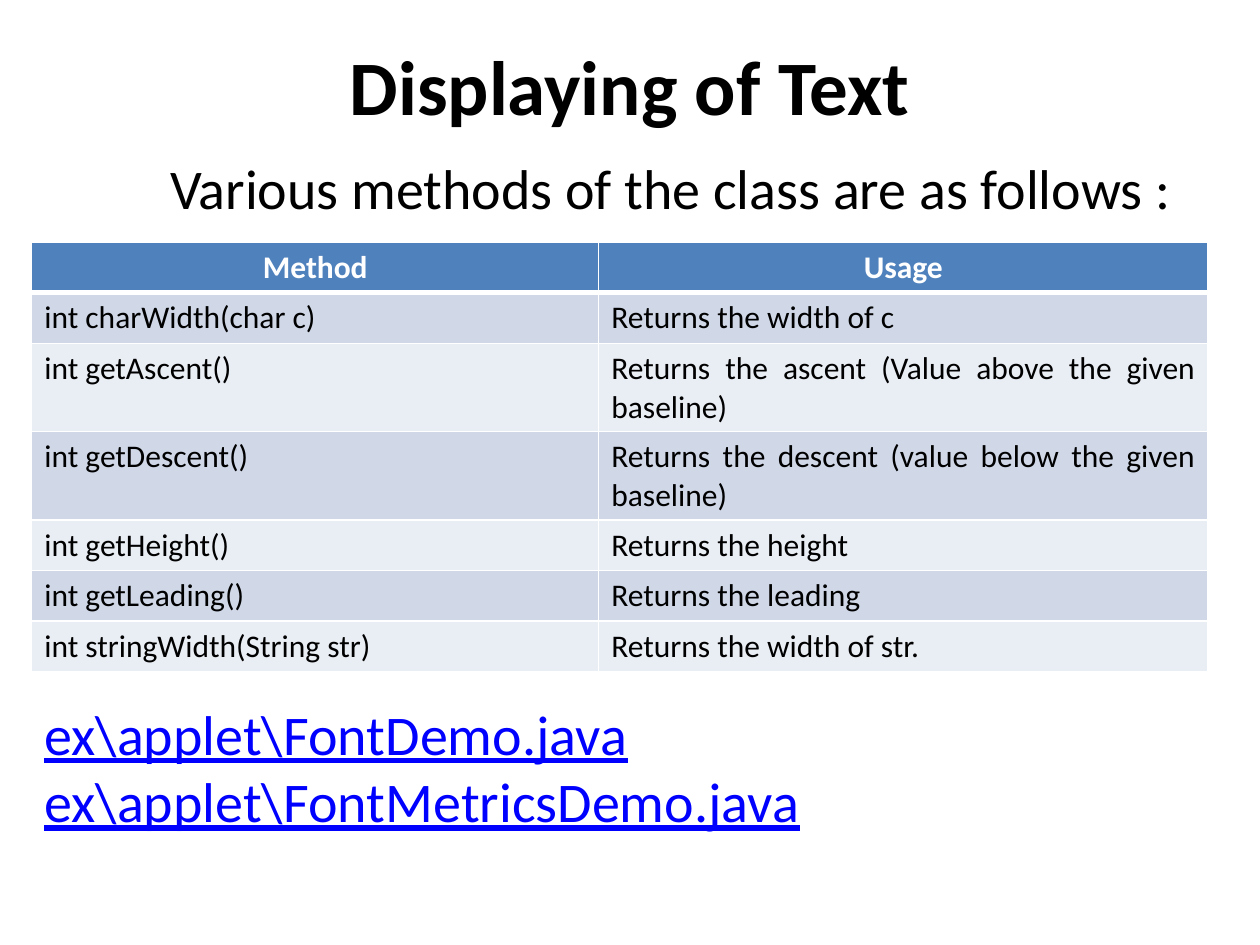
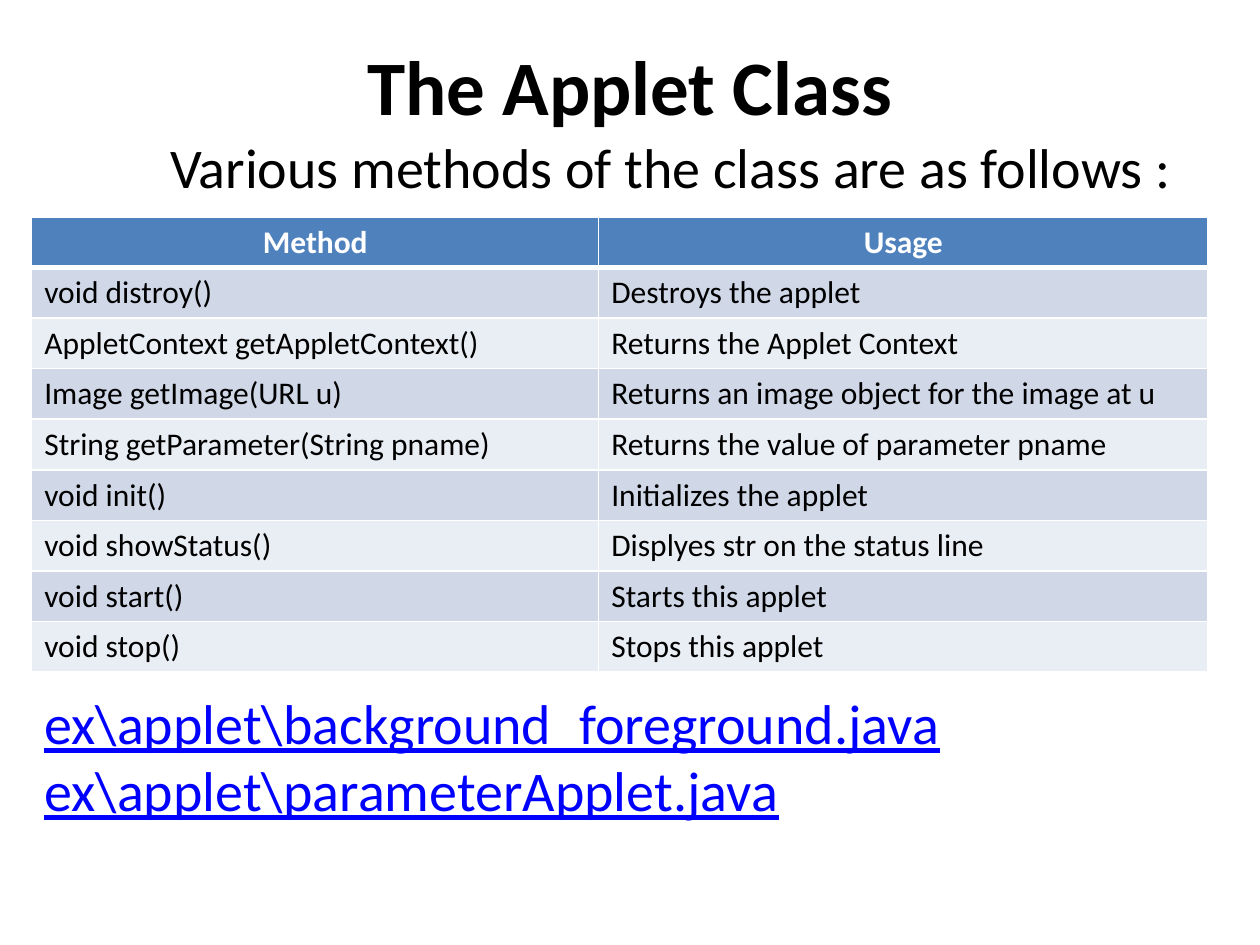
import pptx
import pptx.dml.color
import pptx.enum.text
import pptx.util
from lxml import etree
from pptx.util import Cm

# Shared style
FONT = "Calibri"
BLACK, WHITE, LINK = "000000", "FFFFFF", "0000FF"
HEADER_FILL = "4F81BD"
BAND_FILLS = ("D0D8E8", "E9EDF4")
ALIGN = pptx.enum.text.PP_ALIGN
ANCHOR = pptx.enum.text.MSO_ANCHOR
DRAWING = "http://schemas.openxmlformats.org/drawingml/2006/main"

# Shared layout
SLIDE_WIDTH, SLIDE_HEIGHT = Cm(25.4), Cm(19.05)
LEFT = Cm(0.64)
TEXT_WIDTH = Cm(24.34)
COLUMN_WIDTHS = (Cm(11.43), Cm(12.28))
ROW_HEIGHT = Cm(1.02)
INTRO = "Various methods of the class are as follows :"

TEXT_METHODS = [
    ("int charWidth(char c)", "Returns the width of c"),
    ("int getAscent()", "Returns the ascent (Value above the given baseline)"),
    ("int getDescent()", "Returns the descent (value below the given baseline)"),
    ("int getHeight()", "Returns the height"),
    ("int getLeading()", "Returns the leading"),
    ("int stringWidth(String str)", "Returns the width of str."),
]
APPLET_METHODS = [
    ("void distroy()", "Destroys the applet"),
    ("AppletContext getAppletContext()", "Returns the Applet Context"),
    ("Image getImage(URL u)", "Returns an image object for the image at u"),
    ("String getParameter(String pname)", "Returns the value of parameter pname"),
    ("void init()", "Initializes the applet"),
    ("void showStatus()", "Displyes str on the status line"),
    ("void start()", "Starts this applet"),
    ("void stop()", "Stops this applet"),
]


def colour(value):
    return pptx.dml.color.RGBColor.from_string(value)


def add_run(paragraph, text, size, color=BLACK, bold=False, underline=False):
    run = paragraph.add_run()
    run.text = text
    run.font.name = FONT
    run.font.size = pptx.util.Pt(size)
    run.font.color.rgb = colour(color)
    run.font.bold = bold
    run.font.underline = underline


def add_text(slide, place, lines, size, align=ALIGN.JUSTIFY,
             anchor=ANCHOR.TOP, indent=0, **style):
    frame = slide.shapes.add_textbox(*place).text_frame
    frame.word_wrap = True
    frame.vertical_anchor = anchor
    for index, line in enumerate(lines):
        paragraph = frame.add_paragraph() if index else frame.paragraphs[0]
        paragraph.alignment = align
        if indent:
            paragraph._p.get_or_add_pPr().set("indent", str(indent))
        add_run(paragraph, line, size, **style)


def set_borders(cell, top, bottom):
    properties = cell._tc.get_or_add_tcPr()
    for side, width in (("L", 1), ("R", 1), ("T", top), ("B", bottom)):
        line = etree.SubElement(properties, f"{{{DRAWING}}}ln{side}",
                                w=str(pptx.util.Pt(width)))
        fill = etree.SubElement(line, f"{{{DRAWING}}}solidFill")
        etree.SubElement(fill, f"{{{DRAWING}}}srgbClr", val=WHITE)


def add_method_table(slide, top, methods):
    rows = [("Method", "Usage"), *methods]
    table = slide.shapes.add_table(
        len(rows), 2, LEFT, top, sum(COLUMN_WIDTHS), ROW_HEIGHT * len(rows)).table
    for column, width in zip(table.columns, COLUMN_WIDTHS):
        column.width = width
    for row_index, row in enumerate(rows):
        header = row_index == 0
        fill = HEADER_FILL if header else BAND_FILLS[(row_index - 1) % 2]
        for text, cell, body_align in zip(row, table.rows[row_index].cells,
                                          (ALIGN.LEFT, ALIGN.JUSTIFY)):
            # A thick rule separates the header from the body
            set_borders(cell, 3 if row_index == 1 else 1, 3 if header else 1)
            cell.fill.solid()
            cell.fill.fore_color.rgb = colour(fill)
            paragraph = cell.text_frame.paragraphs[0]
            paragraph.alignment = ALIGN.CENTER if header else body_align
            add_run(paragraph, text, 18, WHITE if header else BLACK, bold=header)


def add_method_slide(presentation, title, intro_top, table_top, methods,
                     files_top, files):
    slide = presentation.slides.add_slide(presentation.slide_layouts[6])
    add_text(slide, (0, Cm(0.43), SLIDE_WIDTH, Cm(2.54)), [title], 44,
             ALIGN.CENTER, ANCHOR.MIDDLE, bold=True)
    add_method_table(slide, table_top, methods)
    add_text(slide, (LEFT, intro_top, TEXT_WIDTH, Cm(1.63)), [INTRO], 32,
             indent=Cm(2.54))
    add_text(slide, (LEFT, files_top, TEXT_WIDTH, Cm(3)), files, 32,
             color=LINK, underline=True)


def main():
    presentation = pptx.Presentation()
    presentation.slide_width = SLIDE_WIDTH
    presentation.slide_height = SLIDE_HEIGHT

    add_method_slide(
        presentation, "Displaying of Text", Cm(2.97), Cm(4.88), TEXT_METHODS,
        Cm(13.97), [r"ex\applet\FontDemo.java", r"ex\applet\FontMetricsDemo.java"])
    add_method_slide(
        presentation, "The Applet Class", Cm(2.54), Cm(4.37), APPLET_METHODS,
        Cm(13.76), [r"ex\applet\background_foreground.java",
                    r"ex\applet\parameterApplet.java"])

    presentation.save("out.pptx")


if __name__ == "__main__":
    main()
